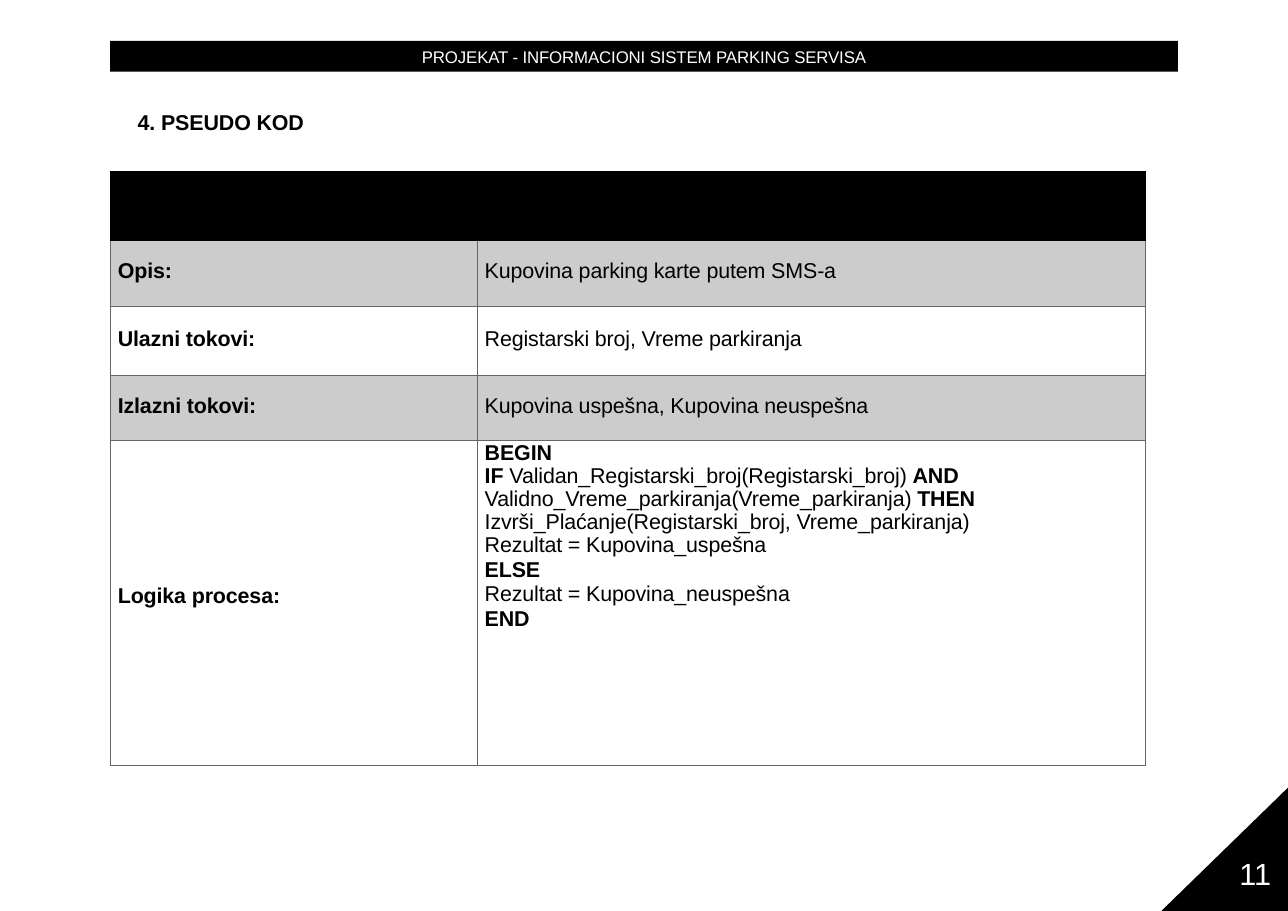
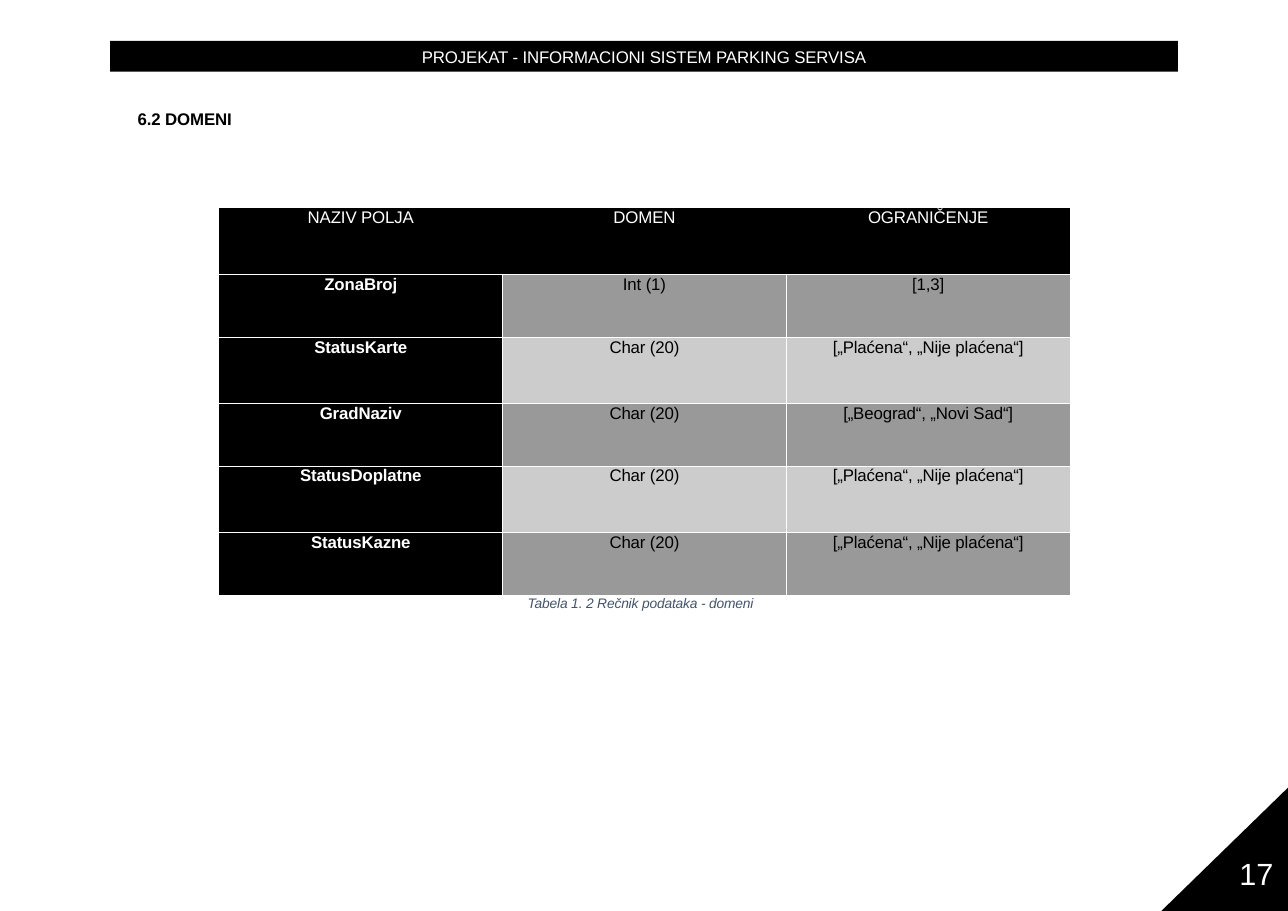
from dataclasses import dataclass

from lxml.etree import SubElement
from pptx import Presentation
from pptx.dml.color import RGBColor
from pptx.enum.shapes import MSO_SHAPE
from pptx.enum.text import MSO_ANCHOR, PP_ALIGN
from pptx.oxml.ns import qn
from pptx.util import Inches, Pt

FONT = "Arial"
BLACK, WHITE, DARK_GREY = "000000", "FFFFFF", "666666"
MID_GREY, LIGHT_GREY, SLATE = "999999", "CCCCCC", "44536A"
SLIDE_WIDTH, SLIDE_HEIGHT = 11.69, 8.27
PLAIN_TABLE_STYLE = "{2D5ABB26-0587-4C30-8999-92F81FD0307C}"
PROJECT_TITLE = "PROJEKAT - INFORMACIONI SISTEM PARKING SERVISA"
KEYWORDS = {"BEGIN", "IF", "AND", "THEN", "ELSE", "END"}


@dataclass(frozen=True)
class Box:
    left: float
    top: float
    width: float
    height: float

    def emu(self):
        return [Inches(v) for v in (self.left, self.top, self.width, self.height)]


@dataclass(frozen=True)
class Style:
    size: float
    color: str = BLACK
    bold: bool = False
    italic: bool = False
    align: PP_ALIGN = PP_ALIGN.LEFT


@dataclass(frozen=True)
class CodeLine:
    text: str
    leading: float


PROCESS = (
    ("Opis:", "Kupovina parking karte putem SMS-a"),
    ("Ulazni tokovi:", "Registarski broj, Vreme parkiranja"),
    ("Izlazni tokovi:", "Kupovina uspešna, Kupovina neuspešna"),
)
PSEUDO_CODE = (
    CodeLine("BEGIN", 15.8),
    CodeLine("IF Validan_Registarski_broj(Registarski_broj) AND", 15.4),
    CodeLine("Validno_Vreme_parkiranja(Vreme_parkiranja) THEN", 15.1),
    CodeLine("Izvrši_Plaćanje(Registarski_broj, Vreme_parkiranja)", 15.1),
    CodeLine("Rezultat = Kupovina_uspešna", 15.1),
    CodeLine("ELSE", 15.7),
    CodeLine("Rezultat = Kupovina_neuspešna", 16.1),
    CodeLine("END", 16.4),
)
PAID_STATES = "[„Plaćena“, „Nije plaćena“]"
DOMAINS = (
    ("NAZIV POLJA", "DOMEN", "OGRANIČENJE"),
    ("ZonaBroj", "Int (1)", "[1,3]"),
    ("StatusKarte", "Char (20)", PAID_STATES),
    ("GradNaziv", "Char (20)", "[„Beograd“, „Novi Sad“]"),
    ("StatusDoplatne", "Char (20)", PAID_STATES),
    ("StatusKazne", "Char (20)", PAID_STATES),
)


def rgb(value: str) -> RGBColor:
    return RGBColor.from_string(value)


def format_run(run, style: Style) -> None:
    font = run.font
    font.name, font.size = FONT, Pt(style.size)
    font.bold, font.italic = style.bold, style.italic
    font.color.rgb = rgb(style.color)
    run._r.get_or_add_rPr().set("spc", "-10")


def write(frame, text: str, style: Style) -> None:
    frame.text = text
    frame.word_wrap = True
    paragraph = frame.paragraphs[0]
    paragraph.alignment = style.align
    for run in paragraph.runs:
        format_run(run, style)


def set_margins(holder, left: float = 0, top: float = 0, bottom: float = 0) -> None:
    holder.margin_left, holder.margin_top = Inches(left), Inches(top)
    holder.margin_right, holder.margin_bottom = 0, Inches(bottom)


def add_label(slide, box: Box, text: str, style: Style) -> None:
    frame = slide.shapes.add_textbox(*box.emu()).text_frame
    set_margins(frame, top=0.02)
    write(frame, text, style)


def paint_black(shape) -> None:
    shape.shadow.inherit = False
    shape.fill.solid()
    shape.fill.fore_color.rgb = rgb(BLACK)
    shape.line.fill.background()


def add_page(deck, heading: str, heading_size: float, heading_width: float, number: int):
    slide = deck.slides.add_slide(deck.slide_layouts[6])
    banner = slide.shapes.add_shape(MSO_SHAPE.RECTANGLE, *Box(1, 0.37, 9.69, 0.28).emu())
    paint_black(banner)
    set_margins(banner.text_frame, top=0.01)
    banner.text_frame.vertical_anchor = MSO_ANCHOR.MIDDLE
    write(banner.text_frame, PROJECT_TITLE, Style(11, WHITE, align=PP_ALIGN.CENTER))

    right, bottom = Inches(SLIDE_WIDTH), Inches(SLIDE_HEIGHT)
    outline = slide.shapes.build_freeform(right, Inches(7.15))
    outline.add_line_segments([(Inches(10.54), bottom), (right, bottom)], close=True)
    paint_black(outline.convert_to_shape())

    add_label(slide, Box(1.25, 0.97, heading_width, 0.26), heading,
              Style(heading_size, bold=True))
    add_label(slide, Box(11.25, 7.74, 0.4, 0.34), str(number), Style(20, WHITE))
    return slide


def add_grid(slide, left: float, top: float, widths: list[float], heights: list[float]):
    box = Box(left, top, sum(widths), sum(heights))
    table = slide.shapes.add_table(len(heights), len(widths), *box.emu()).table
    table.first_row = table.horz_banding = False
    table._tbl.tblPr.find(qn("a:tableStyleId")).text = PLAIN_TABLE_STYLE
    for column, width in zip(table.columns, widths):
        column.width = Inches(width)
    for row, height in zip(table.rows, heights):
        row.height = Inches(height)
    return table


def dress_cell(cell, fill: str, sides: str = "", border: str = WHITE) -> None:
    properties = cell._tc.get_or_add_tcPr()
    for side in "LRTB":
        if side in sides:
            line = SubElement(properties, qn(f"a:ln{side}"), w=str(Pt(0.5)))
            solid = SubElement(line, qn("a:solidFill"))
            SubElement(solid, qn("a:srgbClr"), val=border)
    cell.fill.solid()
    cell.fill.fore_color.rgb = rgb(fill)


def write_code(frame, lines: tuple[CodeLine, ...]) -> None:
    frame.text = "\n".join(line.text for line in lines)
    for paragraph, line in zip(frame.paragraphs, lines):
        paragraph.line_spacing = Pt(line.leading)
        words = line.text.split(" ")
        paragraph.text = ""
        for index, word in enumerate(words):
            run = paragraph.add_run()
            run.text = word if index == len(words) - 1 else word + " "
            format_run(run, Style(14, bold=word in KEYWORDS))


def build_pseudo_code(deck) -> None:
    slide = add_page(deck, "4. PSEUDO KOD", 14, 1.65, 11)
    table = add_grid(slide, 1, 1.55, [3.33, 6.07], [0.64, 0.59, 0.63, 0.59, 2.95])
    title = table.cell(0, 0)
    title.merge(table.cell(0, 1))
    dress_cell(title, BLACK)
    rows = (*PROCESS, ("Logika procesa:", ""))
    for row, texts in enumerate(rows, start=1):
        for column, text in enumerate(texts):
            cell = table.cell(row, column)
            dress_cell(cell, LIGHT_GREY if row % 2 else WHITE, "LRB", DARK_GREY)
            set_margins(cell, left=0.07, bottom=0.12 if row == len(rows) else 0.04)
            if text:
                cell.vertical_anchor = MSO_ANCHOR.MIDDLE
                write(cell.text_frame, text, Style(14, bold=column == 0))
    write_code(table.cell(len(rows), 1).text_frame, PSEUDO_CODE)


def build_domains(deck) -> None:
    slide = add_page(deck, "6.2 DOMENI", 11, 1, 17)
    table = add_grid(slide, 1.99, 1.89, [2.57, 2.58, 2.57], [0.6, 0.57] * 3)
    last = len(DOMAINS) - 1
    for row, texts in enumerate(DOMAINS):
        for column, text in enumerate(texts):
            cell = table.cell(row, column)
            is_header = row == 0
            is_dark = is_header or column == 0
            sides = "" if is_header else "T"
            sides += "B" if row < last else ""
            sides += "L" if column and not is_header else ""
            sides += "R" if column < 2 and not is_header else ""
            fill = BLACK if is_dark else MID_GREY if row % 2 else LIGHT_GREY
            dress_cell(cell, fill, sides)
            set_margins(cell)
            write(cell.text_frame, text,
                  Style(11, WHITE if is_dark else BLACK,
                        bold=column == 0 and not is_header, align=PP_ALIGN.CENTER))
            cell.text_frame.paragraphs[0].line_spacing = Pt(12.5 if is_header else 12.8)
    add_label(slide, Box(4.79, 5.38, 2.2, 0.18), "Tabela 1. 2 Rečnik podataka - domeni",
              Style(9, SLATE, italic=True))


def main() -> None:
    deck = Presentation()
    deck.slide_width, deck.slide_height = Inches(SLIDE_WIDTH), Inches(SLIDE_HEIGHT)
    build_pseudo_code(deck)
    build_domains(deck)
    deck.save("out.pptx")


if __name__ == "__main__":
    main()
